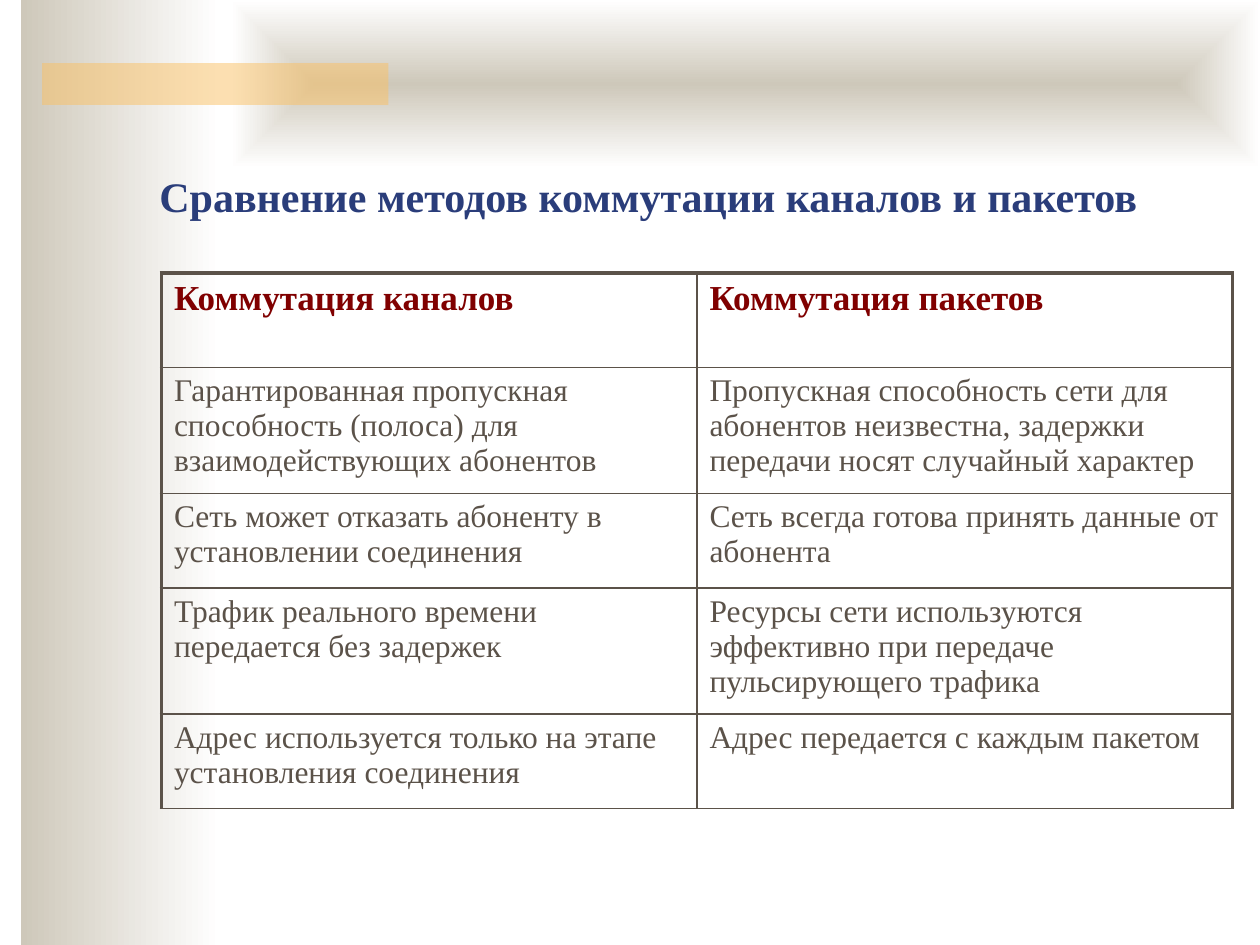
from lxml.etree import SubElement
from pptx import Presentation
from pptx.dml.color import RGBColor
from pptx.enum.shapes import MSO_SHAPE
from pptx.enum.text import MSO_ANCHOR
from pptx.oxml.ns import qn
from pptx.util import Pt

TITLE = "Сравнение методов коммутации каналов и пакетов"
ROWS = [
    ("Коммутация каналов", "Коммутация пакетов"),
    ("Гарантированная пропускная способность (полоса) для взаимодействующих абонентов",
     "Пропускная способность сети для абонентов неизвестна, задержки передачи носят случайный характер"),
    ("Сеть может отказать абоненту в установлении соединения",
     "Сеть всегда готова принять данные от абонента"),
    ("Трафик реального времени передается без задержек",
     "Ресурсы сети используются эффективно при передаче пульсирующего трафика"),
    ("Адрес используется только на этапе установления соединения",
     "Адрес передается с каждым пакетом"),
]
FONT = "Times New Roman"
SAND, WHITE, GOLD = "CEC8BA", "FFFFFF", "FAC164"
NAVY, MAROON, BROWN = "2A3D7A", "800000", "5B5249"
THIN, THICK = 1, 2.25
COL, ROW = 408, 72


def px(n):
    return n * 9525


def rgb(code):
    return RGBColor.from_string(code)


def add_rect(slide, *box):
    rect = slide.shapes.add_shape(MSO_SHAPE.RECTANGLE, *map(px, box))
    rect.shadow.inherit = False
    rect.line.fill.background()
    return rect


def fade(rect, centred=False):
    """Fill from sand to white, rightwards or from the centre out."""
    rect.fill.gradient()
    for stop, code in zip(rect.fill.gradient_stops, (SAND, WHITE)):
        stop.color.rgb = rgb(code)
    rect.fill.gradient_angle = 0
    if centred:
        grad = rect._element.spPr.find(qn("a:gradFill"))
        grad.remove(grad.find(qn("a:lin")))
        shade = SubElement(grad, qn("a:path"), {"path": "shape"})
        SubElement(shade, qn("a:fillToRect"), dict.fromkeys("ltrb", "50000"))


def write(frame, text, size, code, bold):
    frame.word_wrap = True
    run = frame.paragraphs[0].add_run()
    run.text = text
    font = run.font
    font.name, font.size, font.bold = FONT, Pt(size), bold
    font.color.rgb = rgb(code)


def add_border(cell, side, width):
    line = SubElement(cell._tc.get_or_add_tcPr(), qn("a:ln" + side), w=str(Pt(width)))
    fill = SubElement(line, qn("a:solidFill"))
    SubElement(fill, qn("a:srgbClr"), val=BROWN)


def add_grid(slide, left, top):
    wide, high = len(ROWS[0]), len(ROWS)
    table = slide.shapes.add_table(
        high, wide, px(left), px(top), px(COL * wide), px(ROW * high)).table
    table.first_row = table.horz_banding = False
    for r, row in enumerate(ROWS):
        for c, text in enumerate(row):
            cell = table.cell(r, c)
            style = (20, MAROON, True) if r == 0 else (18, BROWN, False)
            write(cell.text_frame, text, *style)
            add_border(cell, "L", THICK if c == 0 else THIN)
            add_border(cell, "R", THICK if c == wide - 1 else THIN)
            add_border(cell, "T", THICK if r == 0 else THIN)
            add_border(cell, "B", THIN)
            cell.fill.background()


def main():
    deck = Presentation()
    deck.slide_width, deck.slide_height = px(960), px(720)
    slide = deck.slides.add_slide(deck.slide_layouts[6])

    fade(add_rect(slide, 16, 0, 152, 720))
    fade(add_rect(slide, 176, 0, 784, 128), centred=True)
    bar = add_rect(slide, 32, 48, 264, 32)
    bar.fill.solid()
    bar.fill.fore_color.rgb = rgb(GOLD)
    tint = bar._element.spPr.find(qn("a:solidFill"))[0]
    SubElement(tint, qn("a:alpha"), val="50000")

    frame = slide.shapes.add_textbox(*map(px, (112, 88, 816, 120))).text_frame
    frame.vertical_anchor = MSO_ANCHOR.BOTTOM
    frame.margin_bottom = px(40)
    write(frame, TITLE, 24, NAVY, True)

    add_grid(slide, 123, 208)
    deck.save("out.pptx")


if __name__ == "__main__":
    main()
